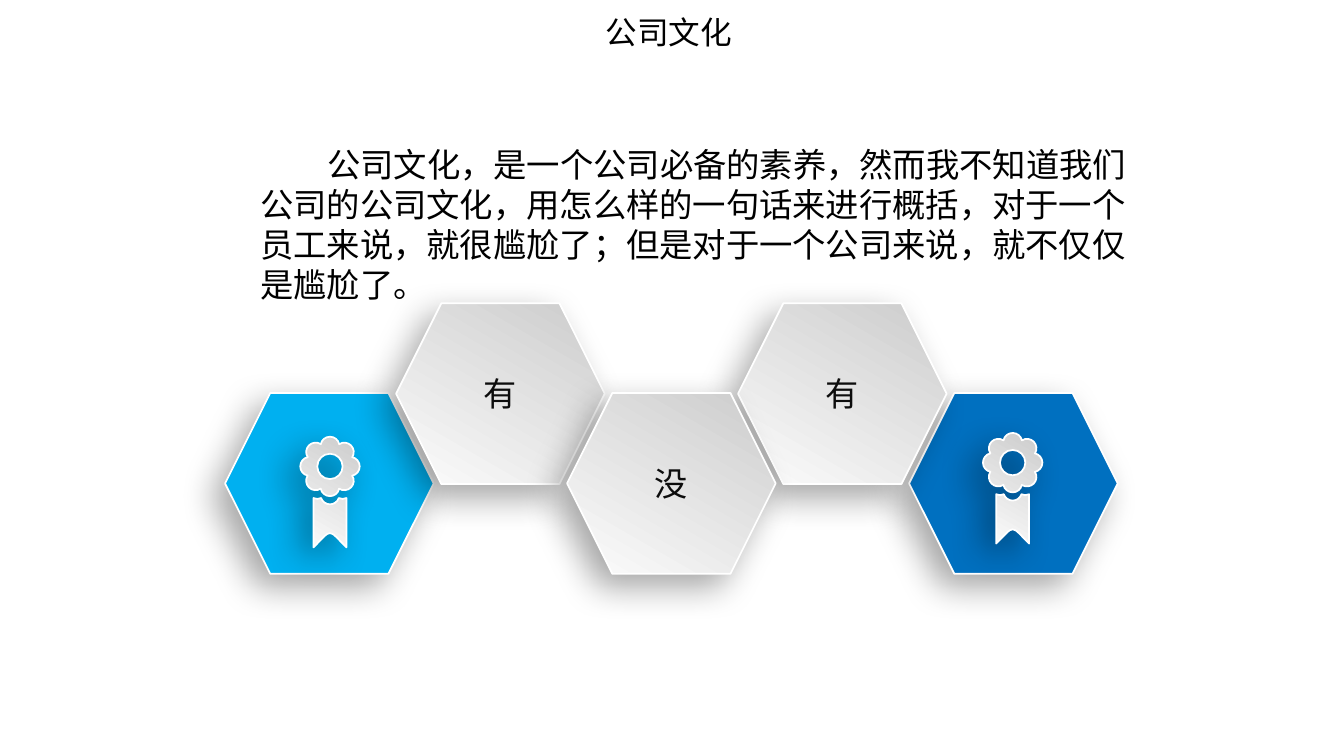
from copy import deepcopy
from dataclasses import dataclass
from math import cos, pi, radians, sin, tan

from lxml import etree
from pptx import Presentation
from pptx.dml.color import RGBColor
from pptx.enum.shapes import MSO_SHAPE
from pptx.enum.text import MSO_ANCHOR, MSO_AUTO_SIZE, PP_ALIGN
from pptx.oxml.ns import qn
from pptx.shapes.autoshape import Shape
from pptx.slide import Slide
from pptx.text.text import TextFrame
from pptx.util import Inches, Pt

HEXAGON = MSO_SHAPE.HEXAGON
MIDDLE, TOP = MSO_ANCHOR.MIDDLE, MSO_ANCHOR.TOP
CENTER, LEFT = PP_ALIGN.CENTER, PP_ALIGN.LEFT
NO_AUTOFIT = MSO_AUTO_SIZE.NONE

Point = tuple[float, float]
Contour = list[Point]


@dataclass(frozen=True)
class Theme:
    sky: str = "00B0F0"
    blue: str = "0070C0"
    silver: tuple[str, str] = ("CCCCCC", "FCFCFC")
    edge: tuple[str, str] = ("D9D9D9", "FFFFFF")
    ink: str = "000000"
    label_ink: str = "0D0D0D"
    cjk_font: str = "Noto Sans CJK SC"
    body_font: str = "Arial"
    title_size: float = 18
    body_size: float = 19
    label_size: float = 18.9


@dataclass(frozen=True)
class Honeycomb:
    left: float = 1.78
    top: float = 2.4
    column: float = 5.41 / 4
    row: float = 0.71
    cell_width: float = 1.65
    cell_height: float = 1.43
    label_width: float = 0.46
    label_height: float = 0.42

    def corner(self, column: int, row: int) -> Point:
        return self.left + column * self.column, self.top + row * self.row


@dataclass(frozen=True)
class Cell:
    column: int
    row: int
    color: str = ""
    label: str = ""
    medal_center: Point | None = None


THEME = Theme()
GRID = Honeycomb()
SLIDE_WIDTH, SLIDE_HEIGHT = 10.63, 5.91
TITLE = "公司文化"
BODY = (
    "公司文化，是一个公司必备的素养，然而我不知道我们公司的公司文化，"
    "用怎么样的一句话来进行概括，对于一个员工来说，就很尴尬了；"
    "但是对于一个公司来说，就不仅仅是尴尬了。"
)
CELLS = [
    Cell(0, 1, color=THEME.sky, medal_center=(0.83, 0.58)),
    Cell(4, 1, color=THEME.blue, medal_center=(0.82, 0.55)),
    Cell(1, 0, label="有"),
    Cell(3, 0, label="有"),
    Cell(2, 1, label="没"),
]


def write(frame: TextFrame, text: str, size: float, font_name: str,
          color: str, align: PP_ALIGN, anchor: MSO_ANCHOR,
          wrap: bool = True) -> None:
    frame.text = text
    frame.word_wrap = wrap
    frame.vertical_anchor = anchor
    paragraph = frame.paragraphs[0]
    paragraph.alignment = align
    font = paragraph.font
    font.size = Pt(size)
    font.color.rgb = RGBColor.from_string(color)
    font.name = font_name
    etree.SubElement(font._element, qn("a:ea"), typeface=font_name)


def add_soft_shadow(shape: Shape) -> None:
    shape.shadow.inherit = False
    effects = shape._element.spPr.find(qn("a:effectLst"))
    shadow = etree.SubElement(
        effects, qn("a:outerShdw"), blurRad=str(Pt(20)), dist=str(Pt(10)),
        dir=str(136 * 60000), algn="tr", rotWithShape="0")
    tint = etree.SubElement(shadow, qn("a:srgbClr"), val=THEME.ink)
    etree.SubElement(tint, qn("a:alpha"), val="34000")


def add_shiny_edge(shape: Shape) -> None:
    shape.line.width = Pt(1)
    shape.line.fill.gradient()
    stops = shape.line.fill.gradient_stops
    for stop, color in zip(stops, THEME.edge):
        stop.color.rgb = RGBColor.from_string(color)
    stops[1].position = 0.5
    stop_list = shape._element.spPr.find(".//" + qn("a:ln")).find(
        ".//" + qn("a:gsLst"))
    last_stop = deepcopy(stop_list[0])
    last_stop.set("pos", "100000")
    stop_list.append(last_stop)


def style(shape: Shape, color: str = "") -> None:
    if color:
        shape.fill.solid()
        shape.fill.fore_color.rgb = RGBColor.from_string(color)
    else:
        shape.fill.gradient()
        shape.fill.gradient_angle = 240
        for stop, silver in zip(shape.fill.gradient_stops, THEME.silver):
            stop.color.rgb = RGBColor.from_string(silver)
    add_shiny_edge(shape)
    add_soft_shadow(shape)


def arc(center: Point, radius: float, start: float, end: float,
        pieces: int) -> Contour:
    step = (end - start) / pieces
    pull = 4 / 3 * tan(step / 4)

    def at(angle: float, offset: float) -> Point:
        return (center[0] + radius * (cos(angle) - offset * sin(angle)),
                center[1] + radius * (sin(angle) + offset * cos(angle)))

    points = [at(start, 0)]
    for i in range(pieces):
        a, b = start + i * step, start + (i + 1) * step
        points += [at(a, pull), at(b, -pull), at(b, 0)]
    return points


def medal_contours() -> list[Contour]:
    half_petal = radians(78)
    rosette: Contour = []
    for petal in range(8):
        angle = petal * pi / 4
        center = (0.16 * cos(angle), 0.16 * sin(angle))
        outline = arc(center, 0.075, angle - half_petal, angle + half_petal, 2)
        rosette += outline[1:] if rosette else outline
    hole = arc((0, 0), 0.1, 2 * pi, 0, 4)
    ribbon = [
        (-0.07, 0.25), (-0.09, 0.26), (-0.11, 0.26), (-0.13, 0.25),
        (-0.13, 0.64), (-0.13, 0.64), (-0.13, 0.64),
        (0.02, 0.49), (-0.02, 0.49), (0.13, 0.64),
        (0.13, 0.25), (0.13, 0.25), (0.13, 0.25),
        (0.11, 0.26), (0.09, 0.26), (0.07, 0.25),
        (0.06, 0.28), (0.03, 0.3), (0, 0.3),
        (-0.03, 0.3), (-0.06, 0.28), (-0.07, 0.25),
    ]
    return [rosette, hole, ribbon]


def bend_lines(outline: Shape) -> None:
    lines = list(outline._element.iter(qn("a:lnTo")))
    for first, second, third in zip(lines[::3], lines[1::3], lines[2::3]):
        bend = etree.Element(qn("a:cubicBezTo"))
        first.addprevious(bend)
        for line in (first, second, third):
            bend.append(line[0])
            line.getparent().remove(line)


def add_medal(slide: Slide, center: Point) -> None:
    contours = [[(Inches(center[0] + x), Inches(center[1] + y))
                 for x, y in contour] for contour in medal_contours()]
    builder = slide.shapes.build_freeform(*contours[0][0])
    for index, contour in enumerate(contours):
        if index:
            builder.move_to(*contour[0])
        builder.add_line_segments(contour[1:-1], close=False)
        builder.add_line_segments(contour[-1:], close=True)
    medal = builder.convert_to_shape()
    for extra in medal._element.findall(".//" + qn("a:close") + "[2]"):
        extra.getparent().remove(extra)
    bend_lines(medal)
    style(medal)


def add_cell(slide: Slide, cell: Cell) -> None:
    left, top = GRID.corner(cell.column, cell.row)
    hexagon = slide.shapes.add_shape(
        HEXAGON, Inches(left), Inches(top),
        Inches(GRID.cell_width), Inches(GRID.cell_height))
    style(hexagon, cell.color)
    if cell.label:
        label = slide.shapes.add_textbox(
            Inches(left + (GRID.cell_width - GRID.label_width) / 2),
            Inches(top + (GRID.cell_height - GRID.label_height) / 2),
            Inches(GRID.label_width), Inches(GRID.label_height))
        write(label.text_frame, cell.label, THEME.label_size, THEME.cjk_font,
              THEME.label_ink, LEFT, TOP, wrap=False)
    if cell.medal_center:
        add_medal(slide, (left + cell.medal_center[0],
                          top + cell.medal_center[1]))


def add_title(slide: Slide) -> None:
    title = slide.shapes.title
    title.left, title.top = Inches(3.92), Inches(0.06)
    title.width, title.height = Inches(2.74), Inches(0.38)
    frame = title.text_frame
    write(frame, TITLE, THEME.title_size, THEME.cjk_font, THEME.ink,
          CENTER, MIDDLE)
    frame.auto_size = NO_AUTOFIT
    frame.margin_left = frame.margin_right = Inches(0.07)
    frame.margin_top = frame.margin_bottom = Inches(0.04)


def add_body(slide: Slide) -> None:
    body = slide.shapes.add_textbox(
        Inches(1.96), Inches(1.09), Inches(7.29), Inches(1.38))
    write(body.text_frame, BODY, THEME.body_size, THEME.body_font, THEME.ink,
          LEFT, TOP)
    properties = body.text_frame.paragraphs[0]._p.get_or_add_pPr()
    properties.set("indent", str(Inches(0.53)))


def main() -> None:
    presentation = Presentation()
    presentation.slide_width = Inches(SLIDE_WIDTH)
    presentation.slide_height = Inches(SLIDE_HEIGHT)
    slide = presentation.slides.add_slide(presentation.slide_layouts[5])
    for cell in CELLS:
        add_cell(slide, cell)
    add_title(slide)
    add_body(slide)
    presentation.save("out.pptx")


if __name__ == "__main__":
    main()
